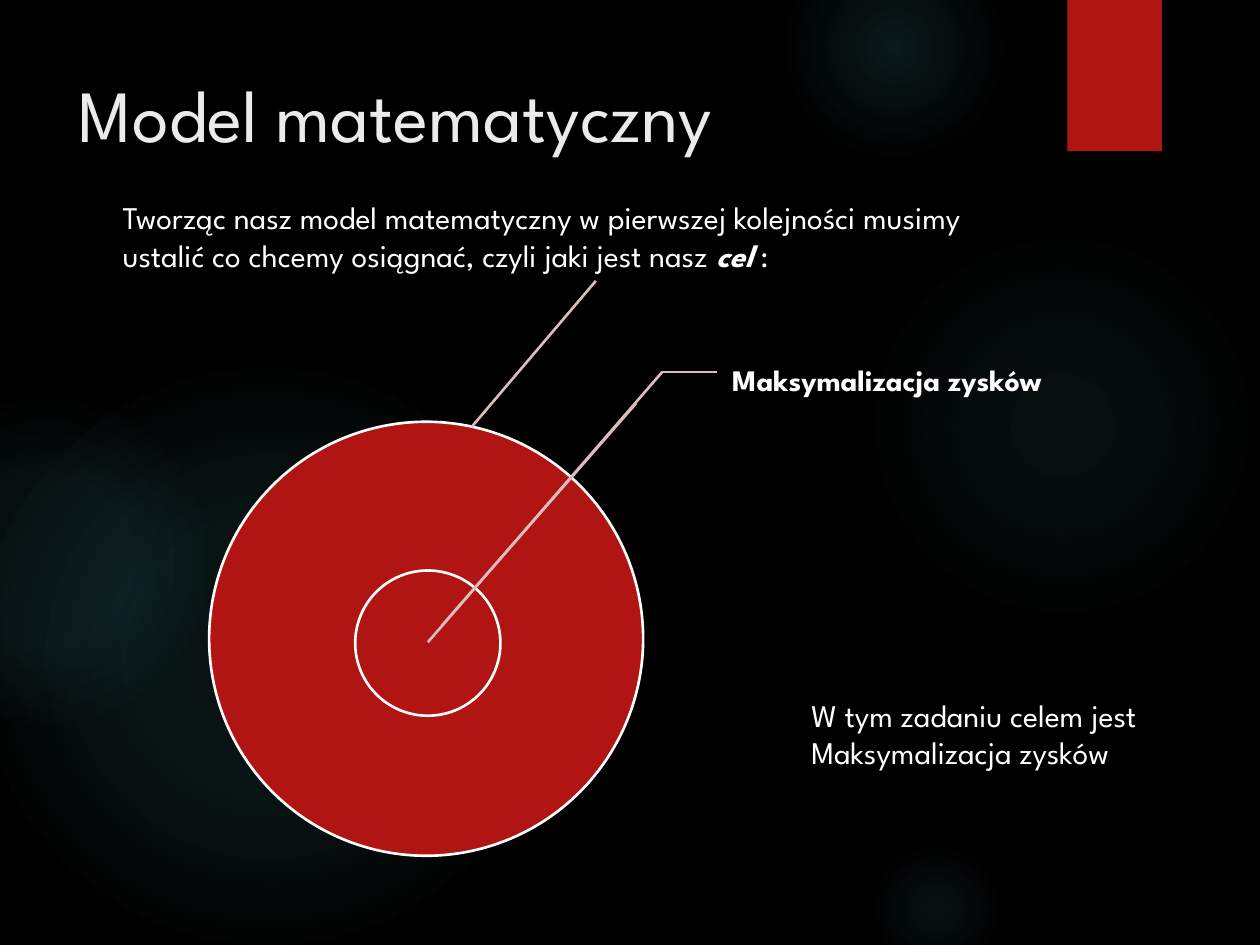
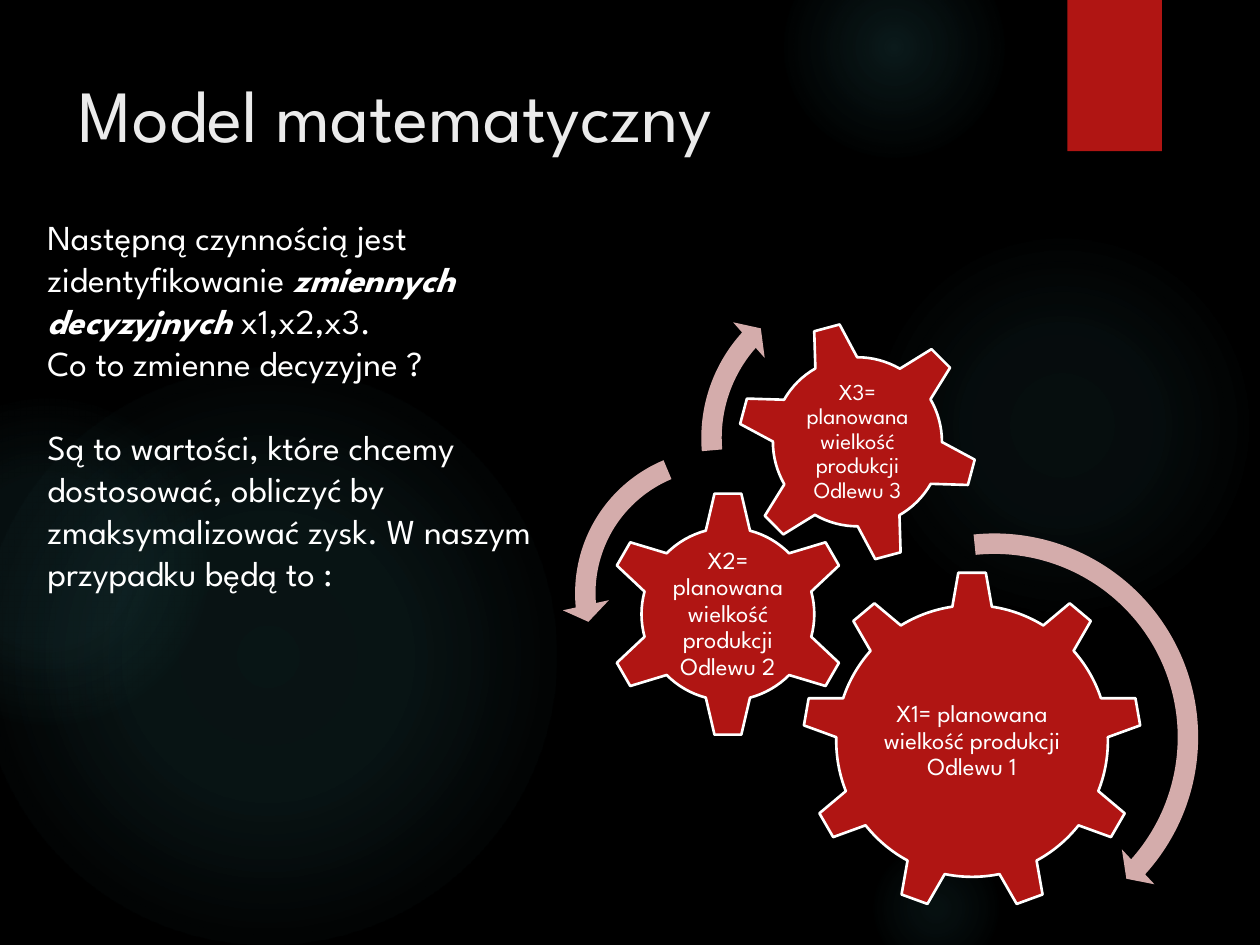
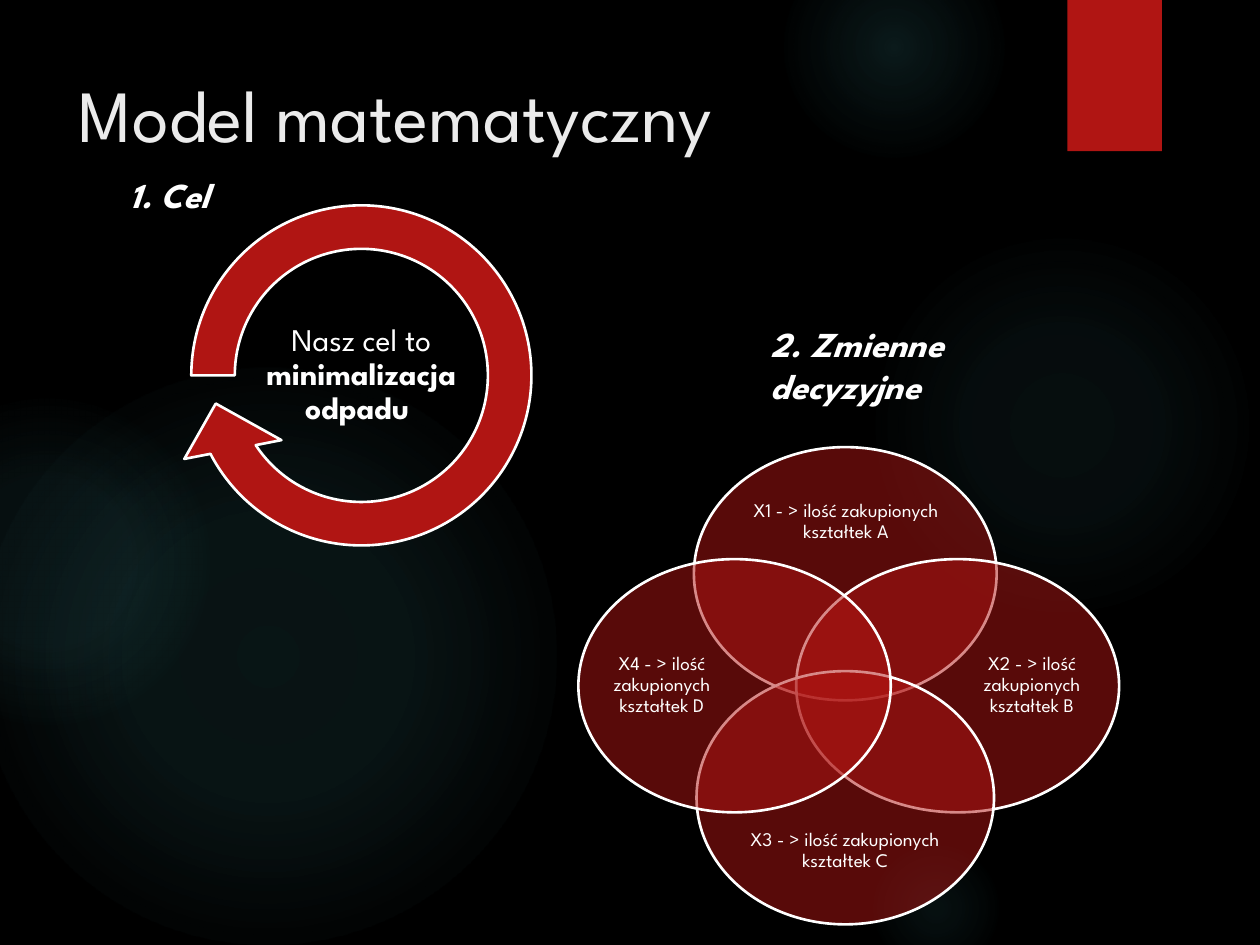
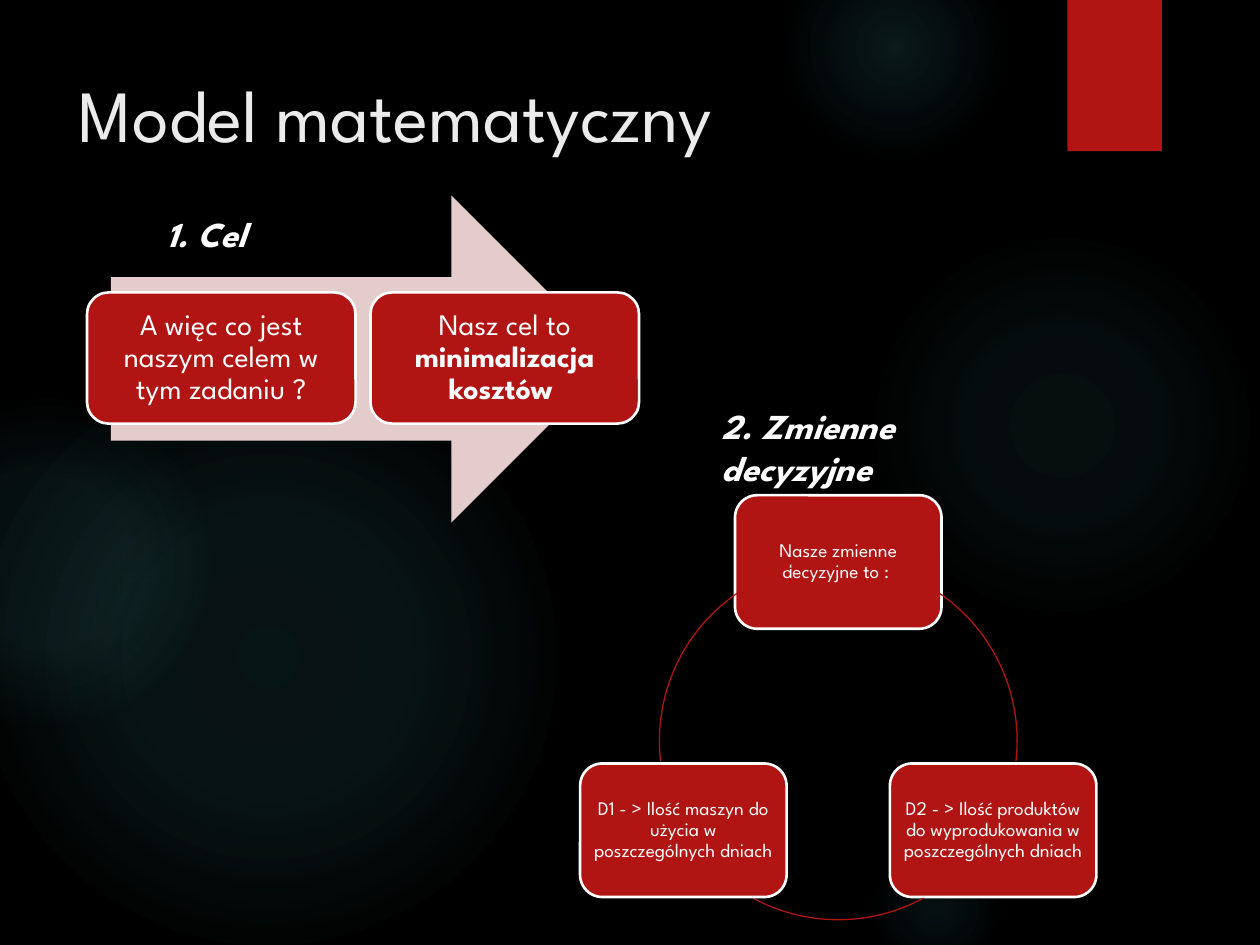
"""Build four slides that explain a mathematical model with diagrams."""
from math import cos, radians, sin
from typing import NamedTuple

from lxml.etree import SubElement
from pptx import Presentation
from pptx.dml.color import RGBColor
from pptx.enum.shapes import MSO_CONNECTOR, MSO_SHAPE
from pptx.enum.text import MSO_ANCHOR, PP_ALIGN
from pptx.oxml import parse_xml
from pptx.oxml.ns import nsdecls, qn
from pptx.util import Pt

FONT = "League Spartan"
COLORS = {
    "background": "000000",
    "glow": "50B9C1",
    "red": "B01513",
    "white": "FFFFFF",
    "title": "EBEBEB",
    "leader": "DCBDBD",
    "turn": "D4ACAB",
    "arrow": "E4CCCC",
}
TEXT_BOX_INSETS = (7.2, 3.6, 7.2, 3.6)
DEGREE = 0.6


class Box(NamedTuple):
    """A rectangle in points."""

    left: float
    top: float
    width: float
    height: float

    def inner(self, left, top, width, height):
        """Return a box whose corner is measured from this one."""
        return Box(self.left + left, self.top + top, width, height)

    def centered(self, width, height):
        """Return a box of the given size on this one's centre."""
        return self.inner((self.width - width) / 2, (self.height - height) / 2, width, height)

    def lengths(self):
        """Return the four lengths for python-pptx."""
        return [Pt(value) for value in self]


def color(name):
    """Return the named colour."""
    return RGBColor.from_string(COLORS[name])


def add_figure(page, kind, box, fill=None, line=None, weight=1.5, adjustments=()):
    """Add a preset shape without shadow."""
    figure = page.shapes.add_shape(kind, *box.lengths())
    figure.shadow.inherit = False
    if fill:
        figure.fill.solid()
        figure.fill.fore_color.rgb = color(fill)
    else:
        figure.fill.background()
    if line:
        figure.line.color.rgb = color(line)
        figure.line.width = Pt(weight)
    else:
        figure.line.fill.background()
    for index, value in enumerate(adjustments):
        figure.adjustments[index] = value
    return figure


def add_turn(page, box, kind, thickness, head, angles, fill, line=None):
    """Add a curved arrow; angles are head spread, end and start in degrees."""
    values = [thickness, *(angle * DEGREE for angle in angles), head]
    add_figure(page, kind, box, fill, line, adjustments=values)


def write(shape, paragraphs, size, fill="white", insets=TEXT_BOX_INSETS,
          anchor=MSO_ANCHOR.TOP, align=PP_ALIGN.LEFT, spacing=None):
    """Fill a shape with paragraphs, each a list of (text, style) spans."""
    frame = shape.text_frame
    frame.word_wrap = True
    frame.vertical_anchor = anchor
    (frame.margin_left, frame.margin_top,
     frame.margin_right, frame.margin_bottom) = [Pt(inset) for inset in insets]
    for index, spans in enumerate(paragraphs):
        para = frame.add_paragraph() if index else frame.paragraphs[0]
        para.alignment = align
        if spacing:
            para.line_spacing = spacing
        for text, style in spans:
            span = para.add_run()
            span.text = text
            span.font.name = FONT
            span.font.size = Pt(size)
            span.font.color.rgb = color(fill)
            span.font.bold = "b" in style
            span.font.italic = "i" in style
    return frame


def add_text(page, box, paragraphs, size, **options):
    """Add a text box."""
    return write(page.shapes.add_textbox(*box.lengths()), paragraphs, size, **options)


def write_label(shape, spans, size, inset, align=PP_ALIGN.CENTER):
    """Write a diagram label, tight and vertically centred."""
    write(shape, [spans], size, insets=(inset,) * 4,
          anchor=MSO_ANCHOR.MIDDLE, align=align, spacing=0.9)


def add_label(page, box, spans, size, inset):
    """Add a diagram label in its own text box."""
    write_label(page.shapes.add_textbox(*box.lengths()), spans, size, inset)


def add_card(page, box, spans, size, inset):
    """Add a red rounded card with its text."""
    card = add_figure(page, MSO_SHAPE.ROUNDED_RECTANGLE, box, "red", "white")
    write_label(card, spans, size, inset)


def add_line(page, box, start, end):
    """Add a leader line between two points of the box."""
    points = [Pt(origin + value) for point in (start, end)
              for origin, value in zip((box.left, box.top), point)]
    line = page.shapes.add_connector(MSO_CONNECTOR.STRAIGHT, *points)
    line.line.color.rgb = color("leader")
    line.line.width = Pt(1.5)
    SubElement(line.element.spPr, qn("a:effectLst"))


def add_glow(page, box, stops):
    """Add a soft round light that fades out through (position, alpha) stops."""
    glow = add_figure(page, MSO_SHAPE.OVAL, box, "glow")
    marks = "".join(
        f'<a:gs pos="{position * 1000}"><a:srgbClr val="{COLORS["glow"]}">'
        f'<a:alpha val="{alpha * 1000}"/></a:srgbClr></a:gs>' for position, alpha in stops)
    gradient = parse_xml(
        f'<a:gradFill {nsdecls("a")} rotWithShape="1"><a:gsLst>{marks}</a:gsLst>'
        '<a:path path="circle"><a:fillToRect l="50000" t="50000" r="50000" b="50000"/>'
        '</a:path></a:gradFill>')
    properties = glow.element.spPr
    properties.replace(properties.find(qn("a:solidFill")), gradient)
    return glow


def dress_layout(layout, page):
    """Move the shared lights and the red band from a page to its layout."""
    layout.background.fill.solid()
    layout.background.fill.fore_color.rgb = color("background")
    for placeholder in list(layout.placeholders):
        layout.shapes.element.remove(placeholder.element)
    glows = [
        (496, 132, 222, (7, 6), 69),
        (448, -36, 126, (14, 7), 73),
        (496, 480, 78, (9, 5), 66),
        (-12, 210, 330, (11, 10), 75),
        (-66, 228, 186, (8, 8), 72),
    ]
    parts = [add_glow(page, Box(left, top, side, side), [(0, core), (36, middle), (edge, 0)])
             for left, top, side, (core, middle), edge in glows]
    parts.append(add_figure(page, MSO_SHAPE.RECTANGLE, Box(610, 0, 54, 86.4), "red"))
    for part in parts:
        layout.shapes.element.append(part.element)


def add_title(page):
    """Add the title that all pages share."""
    add_text(page, Box(38, 36, 556, 110), [[("Model matematyczny", "")]], 42, fill="title")


def add_heading(page, box, text):
    """Add a bold italic section heading."""
    add_text(page, box, [[(text, "bi")]], 20)


def draw_target(page, box):
    """Draw the target with its leader lines and the goal."""
    for ring in (box.inner(0, 80.5, 248, 248), box.inner(83.5, 165.5, 83, 83)):
        add_figure(page, MSO_SHAPE.OVAL, ring, "red", "white")
    goal = page.shapes.add_textbox(*box.inner(289.5, 6.5, 201.5, 103).lengths())
    write_label(goal, [("Maksymalizacja zysków", "b")], 17, 1.4, PP_ALIGN.LEFT)
    goal.text_frame.margin_left = Pt(9.4)
    bend = (259, 52)
    for start, end in [(bend, (290, 52)), (bend, (125, 206.5)),
                       ((221, 0), (150, 83.5)), ((133, 197), (244, 70))]:
        add_line(page, box, start, end)


def draw_gears(page, box):
    """Draw three gears with centred labels and the arrows around them."""
    gears = [
        (MSO_SHAPE.GEAR_9, (137.5, 173.5, 194), (116, 99), 0, 14),
        (MSO_SHAPE.GEAR_6, (24.5, 127.5, 141), (70, 70), 0, 14),
        (MSO_SHAPE.GEAR_6, (100, 30.5, 138), (78, 78), 345, 13),
    ]
    for number, (kind, (left, top, side), area, turn, size) in enumerate(gears, 1):
        place = box.inner(left, top, side, side)
        gear = add_figure(page, kind, place, "red", "white")
        gear.rotation = turn
        text = f"X{number}= planowana wielkość produkcji Odlewu {number}"
        add_label(page, place.centered(*area), [(text, "")], size, 1.4)
    turns = [
        (MSO_SHAPE.CIRCULAR_ARROW, (123, 144, 248.5), 0.047, 0.055, (4.98, 42.04, 264.13)),
        (MSO_SHAPE.LEFT_CIRCULAR_ARROW, (0, 96, 180), 0.065, 0.075, (7.17, 174.82, 247.3)),
        (MSO_SHAPE.CIRCULAR_ARROW, (72, 0, 194.5), 0.06, 0.07, (6.57, 221.9, 175.14)),
    ]
    for kind, (left, top, side), thickness, head, angles in turns:
        add_turn(page, box.inner(left, top, side, side), kind, thickness, head, angles, "turn")


def draw_goal_loop(page, box):
    """Draw the round arrow with the goal inside."""
    add_turn(page, box, MSO_SHAPE.CIRCULAR_ARROW, 0.11, 0.125, (19.04, 150, 180), "red", "white")
    add_label(page, box.centered(126, 63),
              [("Nasz cel to ", ""), ("minimalizacja odpadu ", "b")], 18, 0.7)


def draw_venn(page, box):
    """Draw four translucent overlapping ellipses with labels."""
    petals = [
        ("A", (66, 0, 173), (86.5, 19.5, 133, 46)),
        ("B", (124.5, 64, 184.5), (224, 80.5, 70.5, 111)),
        ("C", (67.5, 128, 170), (87, 207.5, 131, 46)),
        ("D", (0, 64, 178.5), (13.5, 80.5, 68.5, 111)),
    ]
    for number, (letter, (left, top, width), area) in enumerate(petals, 1):
        petal = add_figure(page, MSO_SHAPE.OVAL, box.inner(left, top, width, 144.7), "red", "white")
        tint = petal.element.spPr.find(qn("a:solidFill")).find(qn("a:srgbClr"))
        SubElement(tint, qn("a:alpha"), val="50000")
        text = f"X{number} - > ilość zakupionych kształtek {letter}"
        add_label(page, box.inner(*area), [(text, "")], 11, 0)


def draw_goal_arrow(page, box):
    """Draw the wide arrow with the question and the answer on it."""
    add_figure(page, MSO_SHAPE.RIGHT_ARROW, box.inner(13.7, 0, 288, box.height), "arrow")
    cards = [
        [("A więc co jest naszym celem w tym zadaniu ?", "")],
        [("Nasz cel to ", ""), ("minimalizacja kosztów ", "b")],
    ]
    for index, spans in enumerate(cards):
        add_card(page, box.inner(162 * index, 55.5, 153.5, 75), spans, 17, 5)


def draw_cycle(page, box):
    """Draw three cards spread evenly on a circle and the arcs between them."""
    radius, width, height = 102.2, 118, 76.3
    center_x, center_y = box.width / 2, height / 2 + radius
    texts = [
        "Nasze zmienne decyzyjne to : ",
        "D2 - > Ilość produktów do wyprodukowania w poszczególnych dniach",
        "D1 - > Ilość maszyn do użycia w poszczególnych dniach",
    ]
    circle = box.inner(center_x - radius, center_y - radius, 2 * radius, 2 * radius)
    arcs = [(-54, 6.5), (61.6, 118.4), (173.5, -126)]
    for index, (text, arc) in enumerate(zip(texts, arcs)):
        angle = radians(120 * index - 90)
        left = center_x + radius * cos(angle) - width / 2
        top = center_y + radius * sin(angle) - height / 2
        add_card(page, box.inner(left, top, width, height), [(text, "")], 11, 3.7)
        add_figure(page, MSO_SHAPE.ARC, circle, None, "red", 0.75,
                   [degrees * DEGREE for degrees in arc])


def build_goal_page(page):
    """Build the page about the goal."""
    add_title(page)
    draw_target(page, Box(119.5, 160.5, 492, 328))
    add_text(page, Box(63, 109.5, 541, 73), [[
        ("Tworząc nasz model matematyczny w pierwszej kolejności musimy ustalić co chcemy "
         "osiągnać, czyli jaki jest nasz ", ""), ("cel", "bi"), (" :", "")]], 18)
    add_text(page, Box(456.5, 394, 215, 73),
             [[("W tym zadaniu celem jest Maksymalizacja zysków", "")]], 18)


def build_variables_page(page):
    """Build the page about the decision variables."""
    add_title(page)
    draw_gears(page, Box(321, 153, 372, 393))
    frame = add_text(page, Box(20, 119.5, 306, 247), [
        [("Następną czynnością jest zidentyfikowanie ", ""),
         ("zmiennych decyzyjnych", "bi"), (" x1,x2,x3.", "")],
        [("Co to zmienne decyzyjne ?", "")],
        [("Są to wartości, które chcemy dostosować, obliczyć by zmaksymalizować zysk. "
          "W naszym przypadku będą to :", "")],
    ], 20)
    frame.paragraphs[2].space_before = Pt(24)


def build_waste_page(page):
    """Build the page about reducing waste."""
    add_title(page)
    draw_goal_loop(page, Box(93.5, 101.5, 226, 226))
    add_heading(page, Box(67, 95.5, 119, 32), "1. Cel")
    add_heading(page, Box(433.5, 180.5, 197, 55.5), "2. Zmienne decyzyjne")
    draw_venn(page, Box(330.5, 255.5, 309, 273))


def build_cost_page(page):
    """Build the page about reducing costs."""
    add_title(page)
    draw_goal_arrow(page, Box(49.7, 111.6, 316, 187))
    add_heading(page, Box(88, 118, 119, 32), "1. Cel")
    add_heading(page, Box(405.5, 227.5, 197, 55.5), "2. Zmienne decyzyjne")
    draw_cycle(page, Box(331.5, 283, 295, 243))


def main():
    """Build and save the deck."""
    deck = Presentation()
    deck.slide_width, deck.slide_height = Pt(720), Pt(540)
    layout = deck.slide_layouts[6]
    builders = [build_goal_page, build_variables_page, build_waste_page, build_cost_page]
    pages = [deck.slides.add_slide(layout) for _ in builders]
    dress_layout(layout, pages[0])
    for build, page in zip(builders, pages):
        build(page)
    deck.save("out.pptx")


if __name__ == "__main__":
    main()
